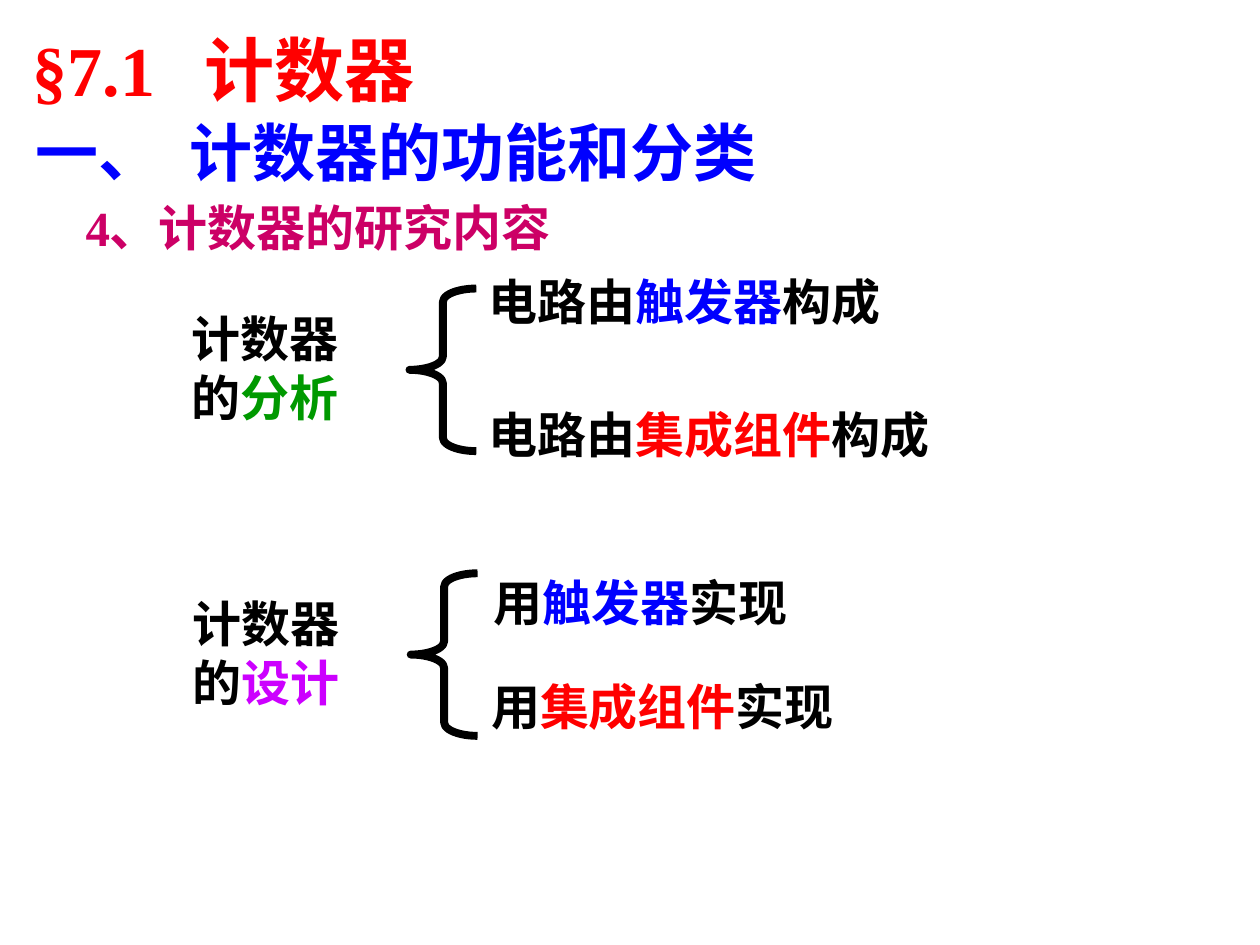
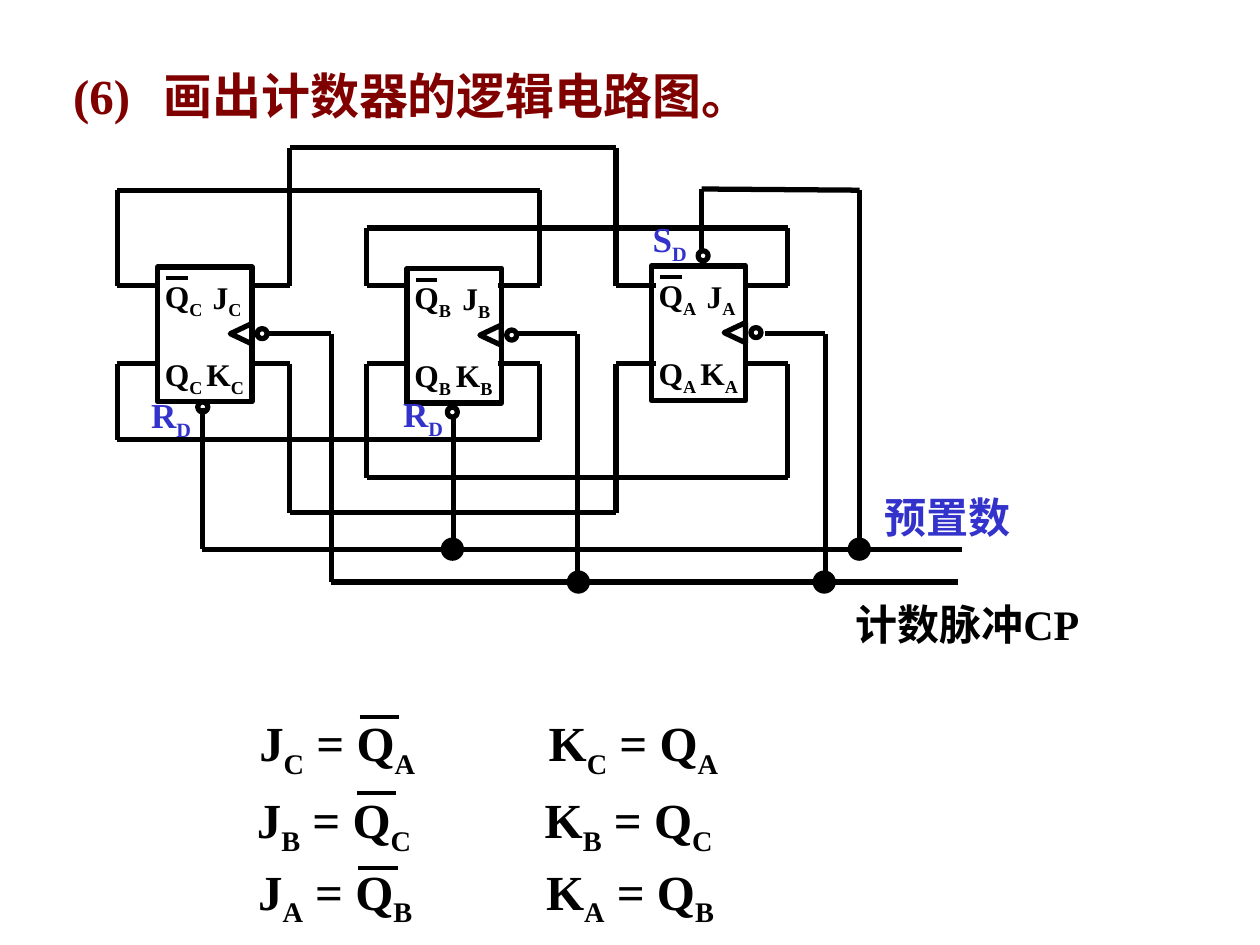
from lxml.etree import SubElement
from pptx import Presentation
from pptx.dml.color import RGBColor
from pptx.enum.shapes import MSO_CONNECTOR, MSO_SHAPE
from pptx.enum.text import MSO_ANCHOR, MSO_AUTO_SIZE, PP_ALIGN
from pptx.oxml.ns import qn
from pptx.util import Pt

FONT = "Times New Roman"
BLACK = "000000"
RED = "FF0000"
BLUE = "0000FF"
GREEN = "009900"
VIOLET = "CC00FF"
MAGENTA = "CC0066"
MAROON = "800000"
INDIGO = "3333CC"
WIRE_WIDTH = 3
BAR_WIDTH = 2.25
BRACE_WIDTH = 4.5
BUBBLE_SIZE = 5.76
DOT_SIZE = 13.3


def colour(value):
    return RGBColor.from_string(value)


def place(item, left, top, width, height):
    item.left, item.top = Pt(left), Pt(top)
    item.width, item.height = Pt(width), Pt(height)


def fill_text(box, spans, size, anchor=MSO_ANCHOR.MIDDLE, tab=None):
    frame = box.text_frame
    frame.word_wrap = True
    frame.auto_size = MSO_AUTO_SIZE.SHAPE_TO_FIT_TEXT
    frame.vertical_anchor = anchor
    para = frame.paragraphs[0]
    para.alignment = PP_ALIGN.LEFT
    if tab:
        tabs = SubElement(para._p.get_or_add_pPr(), qn("a:tabLst"))
        SubElement(tabs, qn("a:tab"), pos=str(Pt(tab)), algn="l")
    for text, value, lowered in spans:
        span = para.add_run()
        span.text = text
        span.font.name = FONT
        span.font.size = Pt(size)
        span.font.bold = True
        span.font.color.rgb = colour(value)
        if lowered:
            span._r.get_or_add_rPr().set("baseline", "-25000")


def plain(text, value=BLACK):
    return [(text, value, False)]


def highlighted(before, keyword, value, after=""):
    spans = plain(before) + plain(keyword, value)
    return spans + plain(after) if after else spans


def subscripted(text, value=BLACK):
    first, *pieces = text.split("_")
    spans = plain(first, value)
    for piece in pieces:
        spans.append((piece[0], value, True))
        if piece[1:]:
            spans += plain(piece[1:], value)
    return spans


def add_title(page, text, value, size, frame, anchor, tab):
    title = page.shapes.title
    place(title, *frame)
    fill_text(title, plain(text, value), size, anchor, tab)


def add_text(page, spans, size, frame, anchor=MSO_ANCHOR.MIDDLE, tab=None):
    box = page.shapes.add_textbox(*(Pt(length) for length in frame))
    fill_text(box, spans, size, anchor, tab)


def add_outline(page, kind, frame, width=WIRE_WIDTH):
    shape = page.shapes.add_shape(kind, *(Pt(length) for length in frame))
    shape.shadow.inherit = False
    shape.fill.background()
    shape.line.color.rgb = colour(BLACK)
    shape.line.width = Pt(width)
    return shape


def add_brace(page, left, top):
    frame = (left, top, 38.2, 92.9)
    brace = add_outline(page, MSO_SHAPE.LEFT_BRACE, frame, BRACE_WIDTH)
    brace.adjustments[0] = 0.2
    brace.adjustments[1] = 0.5


def add_bubble(page, left, top):
    add_outline(page, MSO_SHAPE.OVAL, (left, top, BUBBLE_SIZE, BUBBLE_SIZE))


def add_dot(page, x, y):
    corner = (x - DOT_SIZE / 2, y - DOT_SIZE / 2)
    dot = add_outline(page, MSO_SHAPE.OVAL, (*corner, DOT_SIZE, DOT_SIZE))
    dot.fill.solid()
    dot.fill.fore_color.rgb = colour(BLACK)
    dot.line.fill.background()


def add_wire(page, points, width=WIRE_WIDTH):
    for start, end in zip(points, points[1:]):
        lengths = [Pt(length) for length in (*start, *end)]
        wire = page.shapes.add_connector(MSO_CONNECTOR.STRAIGHT, *lengths)
        wire.line.color.rgb = colour(BLACK)
        wire.line.width = Pt(width)
        SubElement(wire._element.spPr, qn("a:effectLst"))


def add_loop(page, left, right, level, pin, stub):
    add_wire(page, [(left + stub, pin), (left, pin), (left, level),
                    (right, level), (right, pin), (right - stub, pin)])


def add_flip_flop(page, name, left, top):
    add_outline(page, MSO_SHAPE.RECTANGLE, (left, top, 54, 77))
    clock = add_outline(page, MSO_SHAPE.FLOWCHART_EXTRACT,
                        (left + 42, top + 32, 11.5, 12.2))
    clock.rotation = 270
    add_bubble(page, left + 56.9, top + 35.2)
    pins = [("Q", -2.9, 2), ("J", 24.5, 2.5), ("Q", -2.9, 46.6), ("K", 20.9, 46.6)]
    for letter, across, down in pins:
        add_text(page, subscripted(f"{letter}_{name}"), 18,
                 (left + across, top + down, 52, 28.8), MSO_ANCHOR.TOP)
    bar = top + 6.5
    add_wire(page, [(left + 5, bar), (left + 17.3, bar)], BAR_WIDTH)


def build_topics(page):
    add_title(page, "§7.1\t计数器", RED, 40, (11.5, 11.5, 471, 55.4),
              MSO_ANCHOR.TOP, 98)
    add_text(page, plain("一、\t计数器的功能和分类", BLUE), 36,
             (13, 61.2, 553.7, 50.4), MSO_ANCHOR.TOP, 88)
    add_text(page, plain("4、计数器的研究内容", MAGENTA), 28,
             (41.8, 109.4, 570, 41))
    topics = [
        (102.2, 172.8, "分析", GREEN, 234, 164.9),
        (103, 335.5, "设计", VIOLET, 234.7, 327.6),
    ]
    for left, top, keyword, value, brace_left, brace_top in topics:
        add_text(page, highlighted("计数器的", keyword, value), 28,
                 (left, top, 122.4, 74.2))
        add_brace(page, brace_left, brace_top)
    branches = [
        (272.2, 151.2, "电路由", "触发器", BLUE, "构成"),
        (272.2, 227.5, "电路由", "集成组件", RED, "构成"),
        (275, 323.3, "用", "触发器", BLUE, "实现"),
        (273.6, 383, "用", "集成组件", RED, "实现"),
    ]
    for left, top, before, keyword, value, after in branches:
        add_text(page, highlighted(before, keyword, value, after), 28,
                 (left, top, 335, 41))


def build_circuit(page):
    add_title(page, "(6)\t画出计数器的逻辑电路图。", MAROON, 28,
              (34.6, 33.8, 608.4, 41), MSO_ANCHOR.MIDDLE, 51.5)

    for name, left, top in [("C", 90, 152.6), ("B", 232.6, 153.4), ("A", 372.2, 152)]:
        add_flip_flop(page, name, left, top)

    upper_pin, lower_pin = 163.2, 207.8
    loops = [
        (67, 308.5, 108.7, 251.3, 24),
        (209.5, 450, 130.3, 273, 24),
        (165.6, 352, 84.5, 293, -23),
    ]
    for left, right, upper_level, lower_level, stub in loops:
        add_loop(page, left, right, upper_level, upper_pin, stub)
        add_loop(page, left, right, lower_level, lower_pin, stub)

    preset_bus, clock_bus = 313.8, 332.6
    add_wire(page, [(115.6, 233.3), (115.6, preset_bus), (550, preset_bus)])
    add_wire(page, [(259, 239), (259, preset_bus)])
    add_wire(page, [(401, 143.3), (401, 108), (491.3, 108.7), (491.3, preset_bus)])
    for start, drop in [(154, 189.4), (296, 330), (437, 471.6)]:
        add_wire(page, [(start, 190.6), (drop, 190.6), (drop, clock_bus)])
    add_wire(page, [(189.4, clock_bus), (547.2, clock_bus)])

    for x, y in [(258.5, preset_bus), (491, preset_bus),
                 (330.5, clock_bus), (471, clock_bus)]:
        add_dot(page, x, y)
    for left, top in [(113, 229.7), (255.6, 232.6), (398.9, 143.3)]:
        add_bubble(page, left, top)

    for text, left, top in [("R_D", 79.2, 223.2), ("R_D", 223.2, 222.5),
                            ("S_D", 365.8, 122.4)]:
        add_text(page, subscripted(text, INDIGO), 20, (left, top, 57, 31))
    add_text(page, plain("预置数", INDIGO), 24, (498.2, 277.2, 104.4, 36))
    add_text(page, plain("计数脉冲CP"), 24, (481.7, 338.4, 152, 36))

    equations = [
        ("C", "A", 141.1, 306.5, 406, 409.7),
        ("B", "C", 139.7, 304.2, 450, 452.9),
        ("A", "B", 140.4, 305, 491, 496),
    ]
    for target, source, j_left, k_left, top, bar in equations:
        for letter, left in [("J", j_left), ("K", k_left)]:
            add_text(page, subscripted(f"{letter}_{target} = Q_{source}"), 28,
                     (left, top, 150, 41))
        add_wire(page, [(j_left + 64.4, bar), (j_left + 86.8, bar)], BAR_WIDTH)


def main():
    deck = Presentation()
    deck.slide_width, deck.slide_height = Pt(720), Pt(540)
    for build in (build_topics, build_circuit):
        build(deck.slides.add_slide(deck.slide_layouts[5]))
    deck.save("out.pptx")


if __name__ == "__main__":
    main()
